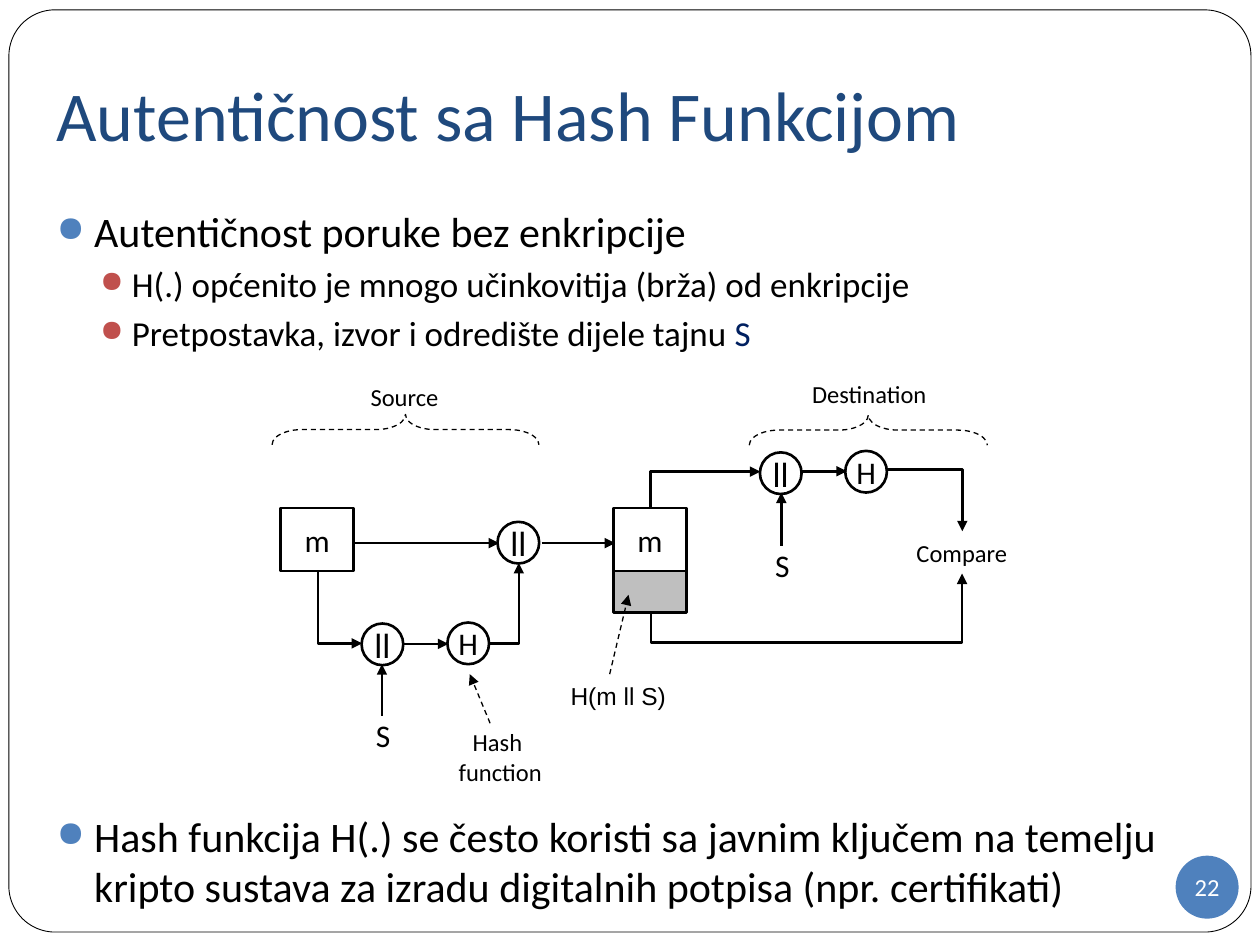
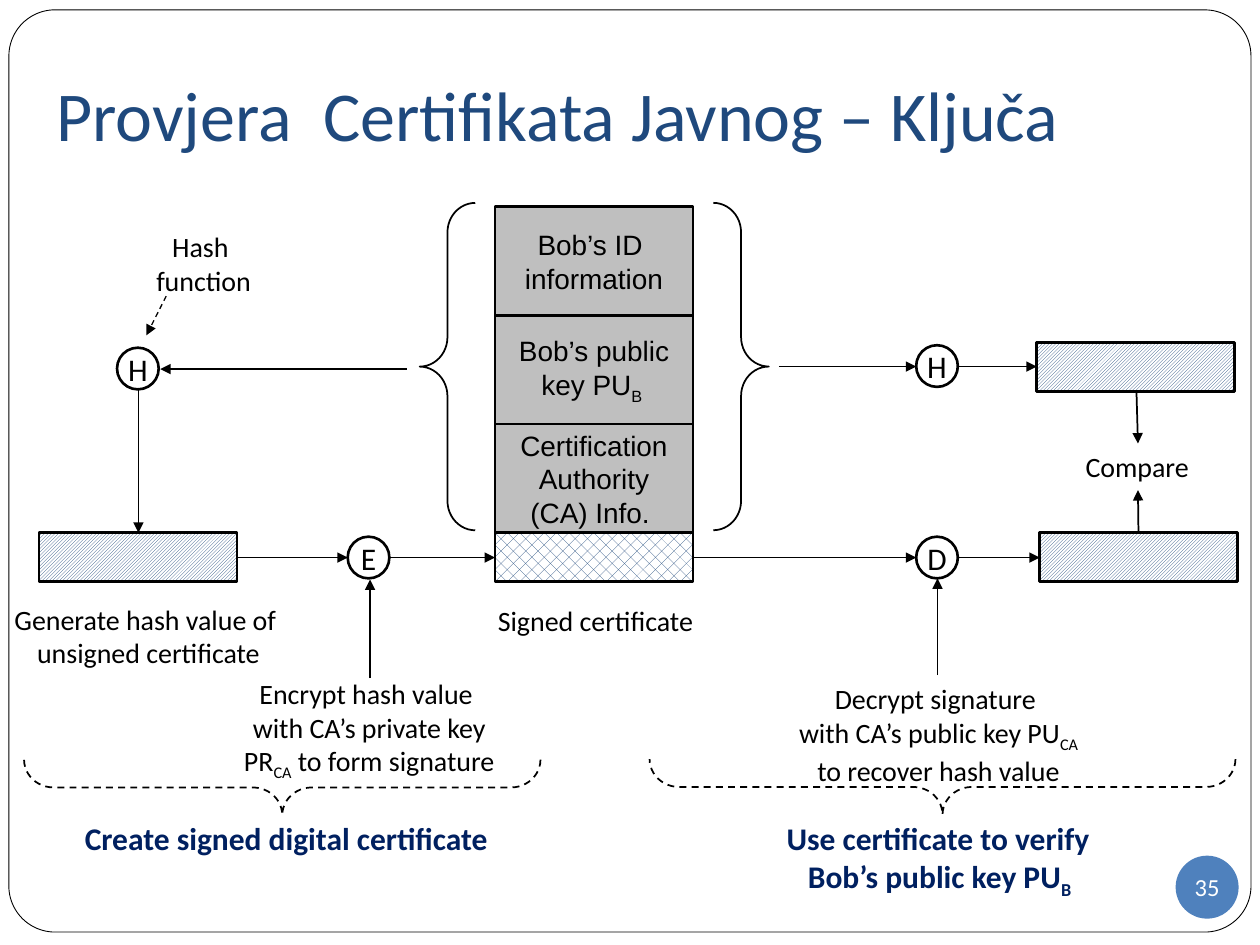
import pptx
import pptx.util
import pptx.dml.color
import pptx.enum.dml
import pptx.enum.shapes
import pptx.enum.text
import pptx.oxml
import pptx.oxml.ns
from lxml import etree

Cm, Pt = pptx.util.Cm, pptx.util.Pt
RGB = pptx.dml.color.RGBColor
SHAPE = pptx.enum.shapes.MSO_SHAPE
CONNECTOR = pptx.enum.shapes.MSO_CONNECTOR
PATTERN = pptx.enum.dml.MSO_PATTERN
DASH = pptx.enum.dml.MSO_LINE
ANCHOR = pptx.enum.text.MSO_ANCHOR
ALIGN = pptx.enum.text.PP_ALIGN
qn = pptx.oxml.ns.qn

BLACK = RGB(0x00, 0x00, 0x00)
WHITE = RGB(0xFF, 0xFF, 0xFF)
TITLE_BLUE = RGB(0x1F, 0x49, 0x7D)
BADGE_BLUE = RGB(0x4F, 0x81, 0xBD)
BULLET_RED = RGB(0xC0, 0x50, 0x4D)
NAVY = RGB(0x00, 0x20, 0x60)
GREY = RGB(0xBF, 0xBF, 0xBF)

NODE = 0.84              # diameter of an operation circle
HASH_BOX = (3.99, 0.99)  # width and height of a hash value


# Text
def write(shape, text, size=16, font="Calibri", color=BLACK, bold=False,
          align=ALIGN.CENTER, anchor=ANCHOR.TOP, wrap=True,
          insets=(0.25, 0.13, 0.25, 0.13), accent=None):
    """Lines become paragraphs; ~marked~ parts are subscript or accented."""
    frame = shape.text_frame
    frame.word_wrap = wrap
    frame.vertical_anchor = anchor
    (frame.margin_left, frame.margin_top,
     frame.margin_right, frame.margin_bottom) = map(Cm, insets)
    for row, line in enumerate(text.split("\n")):
        paragraph = frame.add_paragraph() if row else frame.paragraphs[0]
        paragraph.alignment = align
        for part, words in enumerate(line.split("~")):
            if not words:
                continue
            run = paragraph.add_run()
            run.text = words
            run.font.size = Pt(size)
            run.font.name = font
            run.font.bold = bold
            marked = part % 2 == 1
            run.font.color.rgb = accent if marked and accent else color
            if marked and not accent:
                run._r.get_or_add_rPr().set("baseline", "-25000")
    return frame


def label(slide, left, top, width, height, text, **style):
    box = slide.shapes.add_textbox(Cm(left), Cm(top), Cm(width), Cm(height))
    return write(box, text, **style)


def bullet(paragraph, level):
    size, indent, hang, before, color = (
        (24, 0.76, 0.76, 5.8, BADGE_BLUE),
        (20, 1.52, 0.64, 3.8, BULLET_RED))[level]
    paragraph.level = level
    paragraph.space_before = Pt(before)
    for run in paragraph.runs:
        run.font.size = Pt(size)
    props = paragraph._p.get_or_add_pPr()
    props.set("marL", str(Cm(indent)))
    props.set("indent", str(-Cm(hang)))
    tint = etree.SubElement(props, qn("a:buClr"))
    etree.SubElement(tint, qn("a:srgbClr"), val=str(color))
    etree.SubElement(props, qn("a:buSzPct"), val="85000")
    etree.SubElement(props, qn("a:buChar"), char="●")


def bullets(slide, top, height, text, levels):
    frame = label(slide, 0.89, top, 23.8, height, text,
                  align=ALIGN.LEFT, accent=NAVY)
    for paragraph, level in zip(frame.paragraphs, levels):
        bullet(paragraph, level)


# Shapes
def outline(slide, kind, left, top, width, height, fill=None, weight=1.5):
    shape = slide.shapes.add_shape(kind, Cm(left), Cm(top), Cm(width), Cm(height))
    shape.shadow.inherit = False
    if fill is None:
        shape.fill.background()
    else:
        shape.fill.solid()
        shape.fill.fore_color.rgb = fill
    if weight:
        shape.line.color.rgb = BLACK
        shape.line.width = Pt(weight)
    else:
        shape.line.fill.background()
    return shape


def block(slide, left, top, width, height, text="", fill=None, **style):
    shape = outline(slide, SHAPE.RECTANGLE, left, top, width, height, fill)
    if text:
        write(shape, text, anchor=ANCHOR.MIDDLE, **style)


def node(slide, left, top, text, size=18):
    circle = outline(slide, SHAPE.OVAL, left, top, NODE, NODE)
    write(circle, text, size=size, anchor=ANCHOR.MIDDLE, wrap=False,
          insets=(0, 0, 0, 0))


def hatched(slide, left, top, pattern=PATTERN.LIGHT_UPWARD_DIAGONAL):
    shape = outline(slide, SHAPE.RECTANGLE, left, top, *HASH_BOX)
    shape.fill.patterned()
    shape.fill.pattern = pattern
    shape.fill.fore_color.rgb = TITLE_BLUE
    shape.fill.back_color.rgb = WHITE


def brace(slide, left, top, width, height, rotation, curl, weight=1, dashed=False):
    shape = outline(slide, SHAPE.RIGHT_BRACE, left, top, width, height, weight=weight)
    shape.rotation = rotation
    shape.adjustments[0] = curl
    shape.adjustments[1] = 0.5
    if dashed:
        shape.line.dash_style = DASH.DASH


# Arrows
def arrow(slide, x1, y1, x2, y2, weight=1.5, dashed=False, kind=CONNECTOR.STRAIGHT):
    link = slide.shapes.add_connector(kind, Cm(x1), Cm(y1), Cm(x2), Cm(y2))
    link.line.color.rgb = BLACK
    link.line.width = Pt(weight)
    if dashed:
        link.line.dash_style = DASH.DASH
    etree.SubElement(link.line._get_or_add_ln(), qn("a:tailEnd"), type="triangle")
    etree.SubElement(link._element.spPr, qn("a:effectLst"))
    return link


def elbow(slide, left, top, width, height, rotation=0, flip="", bend=None):
    """One right angle, or two when bend gives the place of the middle leg."""
    link = arrow(slide, left, top, left + width, top + height, kind=CONNECTOR.ELBOW)
    xfrm = link._element.spPr.find(qn("a:xfrm"))
    xfrm.set("rot", str(rotation * 60000))
    for axis in flip:
        xfrm.set("flip" + axis, "1")
    geometry = link._element.spPr.find(qn("a:prstGeom"))
    if bend is None:
        geometry.set("prst", "bentConnector2")
    else:
        guides = geometry.find(qn("a:avLst"))
        if guides is None:
            guides = etree.SubElement(geometry, qn("a:avLst"))
        etree.SubElement(guides, qn("a:gd"), name="adj1",
                         fmla=f"val {round(bend * 100000)}")


# What both slides share
def new_slide(deck, title, number):
    slide = deck.slides.add_slide(deck.slide_layouts[6])
    frame = outline(slide, SHAPE.ROUNDED_RECTANGLE, 0.18, 0.2, 25.04, 18.59,
                    WHITE, weight=0.5)
    frame.adjustments[0] = 0.05
    label(slide, 0.89, 0.76, 23.8, 3.18, title, size=40, color=TITLE_BLUE,
          align=ALIGN.LEFT, anchor=ANCHOR.MIDDLE, insets=(0.25, 0.13, 0.25, 0.25))
    badge = outline(slide, SHAPE.OVAL, 23.7, 17.25, 1.27, 1.27, BADGE_BLUE, weight=0)
    write(badge, number, size=14, color=WHITE, anchor=ANCHOR.MIDDLE,
          wrap=False, insets=(0, 0, 0, 0))
    return slide


def hash_authentication(deck):
    slide = new_slide(deck, "Autentičnost sa Hash Funkcijom", "22")
    bullets(slide, 4.01, 3.4,
            "Autentičnost poruke bez enkripcije\n"
            "H(.) općenito je mnogo učinkovitija (brža) od enkripcije\n"
            "Pretpostavka, izvor i odredište dijele tajnu ~S~", (0, 1, 1))
    bullets(slide, 16.21, 2.3,
            "Hash funkcija H(.) se često koristi sa javnim ključem na temelju "
            "kripto sustava za izradu digitalnih potpisa (npr. certifikati)", (0,))

    # Message at the source, and message with its hash in transit
    for left in (5.66, 12.37):
        block(slide, left, 10.24, 1.47, 1.27, "m", size=18)
    block(slide, 12.37, 11.51, 1.47, 0.84, fill=GREY)

    # Concatenation and hash operations
    for left, top in ((10.03, 10.52), (7.29, 12.57), (15.32, 9.12)):
        node(slide, left, top, "ll", size=20)
    for left, top in ((9.02, 12.55), (17.04, 9.09)):
        node(slide, left, top, "H")

    # Flow
    for ends in ((7.11, 10.95, 10.06, 10.95), (10.92, 10.95, 12.4, 10.95),
                 (8.13, 12.98, 9.04, 12.98), (16.15, 9.5, 17.07, 9.5),
                 (7.7, 14.43, 7.7, 13.39), (15.75, 11, 15.75, 9.93)):
        arrow(slide, *ends)
    elbow(slide, 6.12, 11.79, 1.47, 0.89, 270, "H")
    elbow(slide, 9.88, 11.35, 0.58, 1.63, 0, "V")
    elbow(slide, 13.87, 8.76, 0.71, 2.21, 90, "HV")
    elbow(slide, 17.88, 9.47, 1.52, 1.24)
    elbow(slide, 15.88, 8.81, 0.76, 6.27, 90, "HV", bend=-0.83)

    # Pointers and braces
    for ends in ((9.88, 14.58, 9.47, 13.59), (12.29, 13.59, 12.67, 11.99)):
        arrow(slide, *ends, weight=0.75, dashed=True)
    brace(slide, 7.87, 5.97, 0.61, 5.38, 270, 0.98, 0.75, True)
    brace(slide, 17.2, 6.27, 0.61, 4.8, 270, 0.98, 0.75, True)

    # Labels
    for left, top in ((7.14, 14.3), (15.19, 10.87)):
        label(slide, left, top, 1.17, 1.02, "S", size=18)
    label(slide, 6.1, 7.57, 4.11, 0.86, "Source", size=14)
    label(slide, 15.47, 7.52, 4.11, 0.86, "Destination", size=14)
    label(slide, 18.08, 10.72, 2.62, 0.86, "Compare", size=14,
          insets=(0, 0.13, 0, 0.13))
    label(slide, 8.89, 14.53, 2.39, 1.45, "Hash \nfunction", size=14)
    label(slide, 11.07, 13.59, 2.79, 0.86, "H(m ll S)", size=14, font="Arial")


def certificate_check(deck):
    slide = new_slide(deck, "Provjera  Certifikata Javnog – Ključa", "35")

    # Certificate with its signature
    fields = ("Bob’s ID \ninformation", "Bob’s public key PU~B ~",
              "Certification Authority (CA) Info. ")
    for row, text in enumerate(fields):
        block(slide, 9.98, 4.17 + 2.19 * row, 3.99, 2.19, text, GREY, font="Arial")
    hatched(slide, 9.98, 10.74, PATTERN.PERCENT_30)

    # Hash values and operations
    for left, top in ((0.79, 10.74), (20.9, 6.91), (20.96, 10.74)):
        hatched(slide, left, top)
    for left, top, text in ((2.36, 7.01, "H"), (7.01, 10.82, "E"),
                            (18.47, 6.96, "H"), (18.47, 10.82, "D")):
        node(slide, left, top, text)

    # Flow
    for ends in ((8.2, 7.44, 3.23, 7.44), (2.79, 7.87, 2.79, 10.74),
                 (4.8, 11.24, 7.01, 11.24), (7.87, 11.24, 9.98, 11.24),
                 (7.46, 13.67, 7.46, 11.68), (15.7, 7.39, 18.47, 7.39),
                 (14, 11.24, 18.47, 11.24), (19.3, 7.39, 20.9, 7.39),
                 (19.3, 11.24, 20.96, 11.24), (18.9, 13.61, 18.9, 11.66),
                 (22.91, 7.9, 22.94, 8.94), (22.95, 10.74, 22.94, 9.88)):
        arrow(slide, *ends, weight=1)
    arrow(slide, 3.35, 5.97, 2.95, 6.76, weight=0.75, dashed=True)

    # Braces
    brace(slide, 8.46, 4.09, 1.12, 6.6, 180, 0.53)
    brace(slide, 14.38, 4.09, 1.12, 6.6, 0, 0.53)
    brace(slide, 5.13, 10.67, 1.12, 10.41, 90, 0.53, dashed=True)
    brace(slide, 18.44, 9.96, 1.12, 11.81, 90, 0.53, dashed=True)

    # Labels
    label(slide, 2.82, 4.5, 2.57, 1.63, "Hash \nfunction")
    label(slide, 9.68, 12.04, 4.65, 0.94, "Signed certificate", wrap=False)
    label(slide, 0, 12.01, 5.99, 1.63,
          "Generate hash value of \nunsigned certificate", wrap=False)
    label(slide, 4.55, 13.51, 5.79, 2.31,
          "Encrypt hash value \nwith CA’s private key PR~CA~ to form signature")
    label(slide, 15.72, 13.61, 6.4, 2.31,
          "Decrypt signature \nwith CA’s public key PU~CA~ to recover hash value")
    label(slide, 21.54, 8.94, 2.77, 0.94, "Compare")

    # Names of the two phases
    phase = dict(size=18, color=NAVY, bold=True, wrap=False)
    label(slide, 1.42, 16.38, 8.71, 1.02, "Create signed digital certificate", **phase)
    label(slide, 15.57, 16.38, 6.83, 1.8,
          "Use certificate to verify \nBob’s public key PU~B ~", **phase)


def main():
    deck = pptx.Presentation()
    deck.slide_width, deck.slide_height = Cm(25.4), Cm(19.05)
    hash_authentication(deck)
    certificate_check(deck)
    deck.save("out.pptx")


main()
